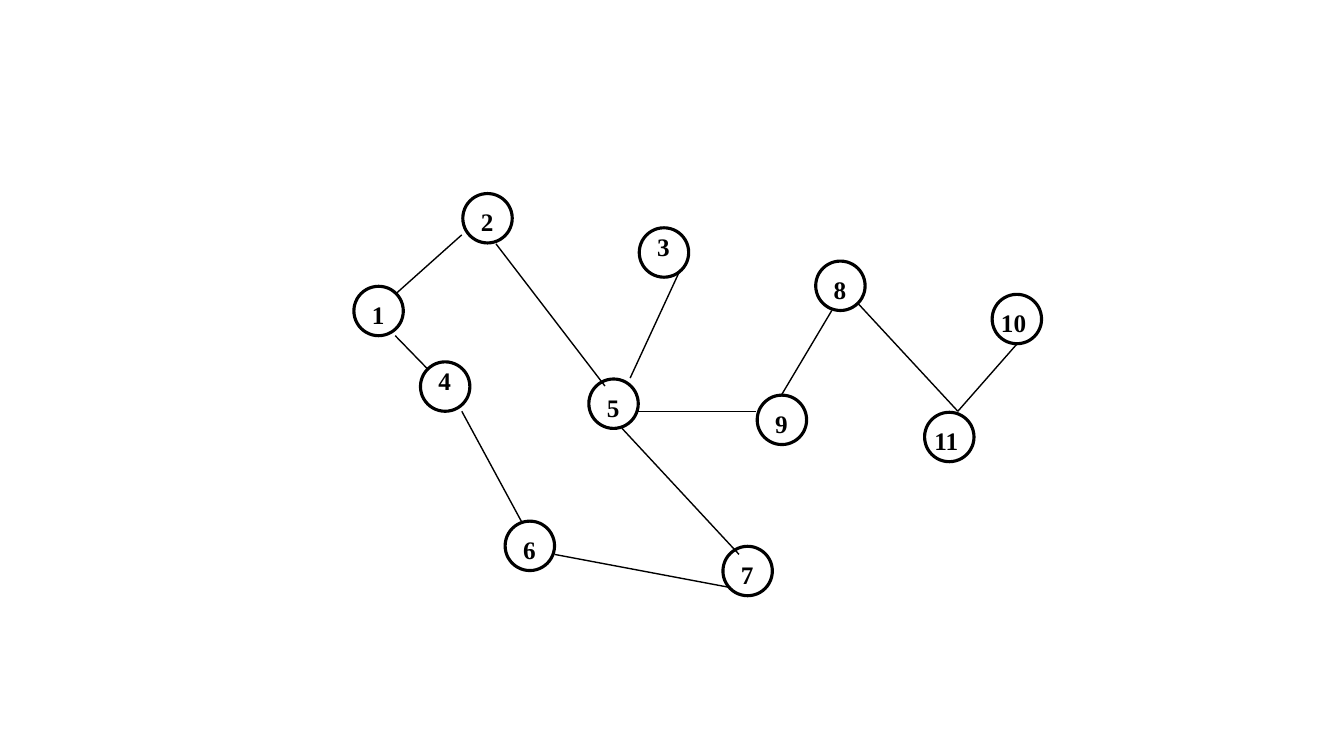
from pptx import Presentation
from pptx.dml.color import RGBColor
from pptx.enum.shapes import MSO_CONNECTOR, MSO_SHAPE
from pptx.enum.text import MSO_AUTO_SIZE, PP_ALIGN
from pptx.oxml.ns import qn
from pptx.util import Inches, Pt
from lxml import etree

ELLIPSE = MSO_SHAPE.OVAL
STRAIGHT = MSO_CONNECTOR.STRAIGHT
GROW = MSO_AUTO_SIZE.SHAPE_TO_FIT_TEXT
LEFT = PP_ALIGN.LEFT

BLACK = "000000"
NODE_SIZE = 0.49
LABEL_HEIGHT = 0.4
LABEL_FORMAT = {"name": "Times New Roman", "size": Pt(18), "bold": True}
USUAL_LABEL = (0.08, 0.08, 0.25)
RAISED_LABEL = (0.08, -0.01, 0.25)
LABEL_PLACES = {
    "3": RAISED_LABEL,
    "4": RAISED_LABEL,
    "10": (-0.01, 0.08, 0.5),
    "11": (0, 0.08, 0.83),
}

NODES = {
    "1": (3.51, 2.84),
    "2": (4.59, 1.92),
    "3": (6.34, 2.26),
    "4": (4.17, 3.59),
    "5": (5.84, 3.76),
    "6": (5.01, 5.17),
    "7": (7.17, 5.42),
    "8": (8.09, 2.59),
    "9": (7.51, 3.92),
    "10": (9.84, 2.92),
    "11": (9.17, 4.09),
}

EDGES = [
    (4.58, 2.33, 3.92, 2.92),
    (4.92, 2.42, 6, 3.83),
    (3.92, 3.33, 4.25, 3.67),
    (4.58, 4.08, 5.17, 5.17),
    (5.5, 5.5, 7.25, 5.83),
    (6.75, 2.67, 6.25, 3.75),
    (6.17, 4.25, 7.33, 5.5),
    (8.25, 3.08, 7.75, 3.92),
    (8.5, 3, 9.5, 4.08),
    (9.5, 4.08, 10.08, 3.42),
    (6.33, 4.08, 7.5, 4.08),
]


def rgb(value):
    return RGBColor.from_string(value)


def set_line(line, width):
    line.color.rgb = rgb(BLACK)
    line.width = Pt(width)


def add_node(slide, left, top):
    node = slide.shapes.add_shape(
        ELLIPSE, Inches(left), Inches(top), Inches(NODE_SIZE), Inches(NODE_SIZE)
    )
    node.shadow.inherit = False
    node.fill.background()
    set_line(node.line, 2.25)


def add_edge(slide, ends):
    edge = slide.shapes.add_connector(STRAIGHT, *map(Inches, ends))
    set_line(edge.line, 1)
    etree.SubElement(edge._element.spPr, qn("a:effectLst"))


def add_label(slide, number, node_left, node_top):
    shift_x, shift_y, width = LABEL_PLACES.get(number, USUAL_LABEL)
    label = slide.shapes.add_textbox(
        Inches(node_left + shift_x),
        Inches(node_top + shift_y),
        Inches(width),
        Inches(LABEL_HEIGHT),
    )
    frame = label.text_frame
    frame.word_wrap = True
    frame.auto_size = GROW
    paragraph = frame.paragraphs[0]
    paragraph.alignment = LEFT
    run = paragraph.add_run()
    run.text = number
    for attribute, value in LABEL_FORMAT.items():
        setattr(run.font, attribute, value)
    run.font.color.rgb = rgb(BLACK)


def main():
    presentation = Presentation()
    presentation.slide_width = Inches(13.33)
    presentation.slide_height = Inches(7.5)
    slide = presentation.slides.add_slide(presentation.slide_layouts[6])
    for left, top in NODES.values():
        add_node(slide, left, top)
    for ends in EDGES:
        add_edge(slide, ends)
    for number, (left, top) in NODES.items():
        add_label(slide, number, left, top)
    presentation.save("out.pptx")


if __name__ == "__main__":
    main()
